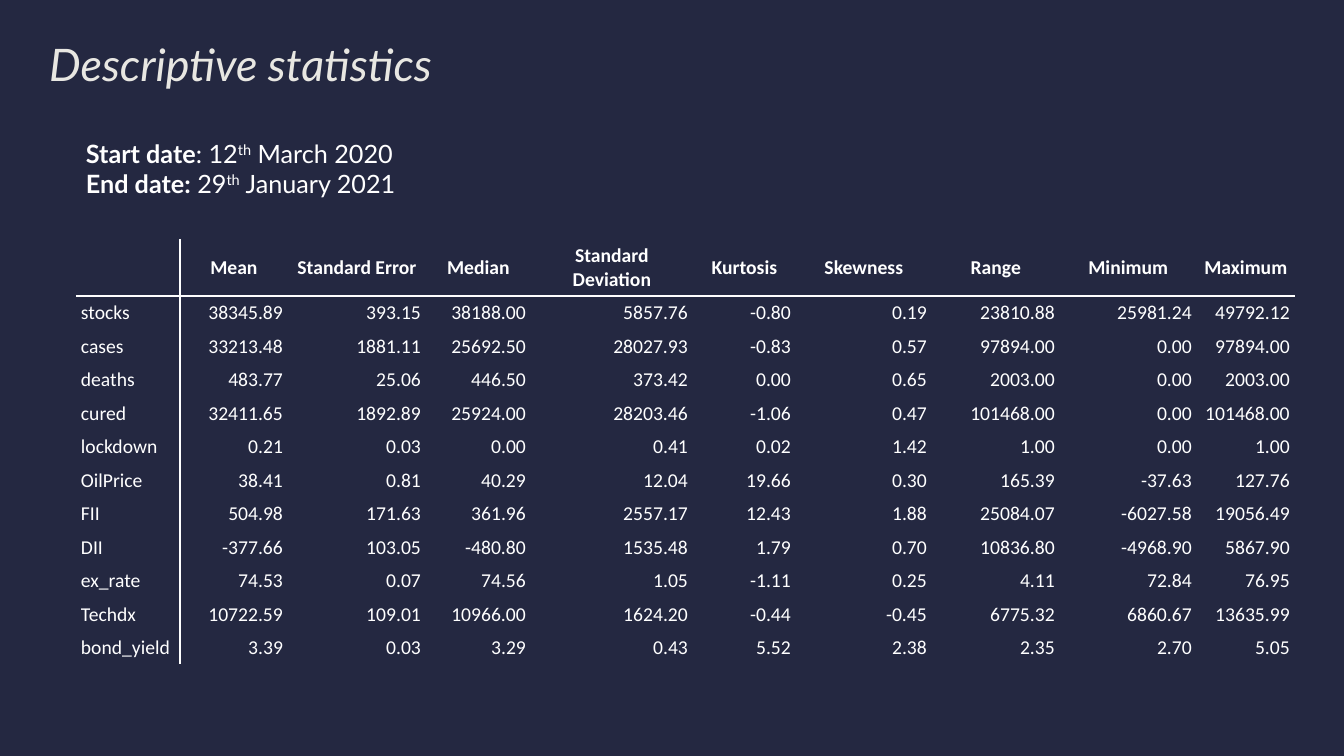
"""Build a slide with a table of descriptive statistics and its date range."""
import lxml.etree
import pptx
import pptx.dml.color
import pptx.enum.text
import pptx.oxml.ns
import pptx.util

PX = 12192000 / 1344
NAVY = pptx.dml.color.RGBColor(0x24, 0x28, 0x41)
IVORY = pptx.dml.color.RGBColor(0xE8, 0xE7, 0xE2)
WHITE = pptx.dml.color.RGBColor(0xFF, 0xFF, 0xFF)
ALIGN = pptx.enum.text.PP_ALIGN


def px(length):
    return pptx.util.Emu(round(length * PX))


def style(run, font_name, size, color, bold=False):
    run.font.name = font_name
    run.font.size = pptx.util.Pt(size)
    run.font.color.rgb = color
    run.font.bold = bold


deck = pptx.Presentation()
deck.slide_width, deck.slide_height = px(1344), px(756)
slide = deck.slides.add_slide(deck.slide_layouts[6])
slide.background.fill.solid()
slide.background.fill.fore_color.rgb = NAVY

title = slide.shapes.add_textbox(px(49), px(43), px(1246), px(126)).text_frame
title.word_wrap = True
title.margin_left = title.margin_right = title.margin_top = title.margin_bottom = 0
heading = title.paragraphs[0]
heading.text = "Descriptive statistics"
heading.line_spacing = 0.9
style(heading.runs[0], "Lato", 32, IVORY)
heading.runs[0].font.italic = True

DATES = [
    ("Start date", ": 12", "th", " March 2020"),
    ("End date:", " 29", "th", " January 2021"),
]
period = slide.shapes.add_textbox(px(76), px(133), px(743), px(72)).text_frame
period.word_wrap = True
for index, pieces in enumerate(DATES):
    date_line = period.add_paragraph() if index else period.paragraphs[0]
    for position, piece in enumerate(pieces):
        run = date_line.add_run()
        run.text = piece
        style(run, "Lato", 18, WHITE, bold=position == 0)
        if piece == "th":
            run.font._element.set("baseline", "30000")

STATISTICS = [
    ("", "Mean", "Standard Error", "Median", "Standard Deviation", "Kurtosis",
     "Skewness", "Range", "Minimum", "Maximum"),
    ("stocks", "38345.89", "393.15", "38188.00", "5857.76", "-0.80", "0.19",
     "23810.88", "25981.24", "49792.12"),
    ("cases", "33213.48", "1881.11", "25692.50", "28027.93", "-0.83", "0.57",
     "97894.00", "0.00", "97894.00"),
    ("deaths", "483.77", "25.06", "446.50", "373.42", "0.00", "0.65",
     "2003.00", "0.00", "2003.00"),
    ("cured", "32411.65", "1892.89", "25924.00", "28203.46", "-1.06", "0.47",
     "101468.00", "0.00", "101468.00"),
    ("lockdown", "0.21", "0.03", "0.00", "0.41", "0.02", "1.42",
     "1.00", "0.00", "1.00"),
    ("OilPrice", "38.41", "0.81", "40.29", "12.04", "19.66", "0.30",
     "165.39", "-37.63", "127.76"),
    ("FII", "504.98", "171.63", "361.96", "2557.17", "12.43", "1.88",
     "25084.07", "-6027.58", "19056.49"),
    ("DII", "-377.66", "103.05", "-480.80", "1535.48", "1.79", "0.70",
     "10836.80", "-4968.90", "5867.90"),
    ("ex_rate", "74.53", "0.07", "74.56", "1.05", "-1.11", "0.25",
     "4.11", "72.84", "76.95"),
    ("Techdx", "10722.59", "109.01", "10966.00", "1624.20", "-0.44", "-0.45",
     "6775.32", "6860.67", "13635.99"),
    ("bond_yield", "3.39", "0.03", "3.29", "0.43", "5.52", "2.38",
     "2.35", "2.70", "5.05"),
]
COLUMN_WIDTHS = [104, 108, 138, 105, 162, 103, 136, 128, 137, 98]
table = slide.shapes.add_table(
    len(STATISTICS), len(COLUMN_WIDTHS),
    px(76), px(239), px(sum(COLUMN_WIDTHS)), px(426)).table
table.first_row = table.horz_banding = False
for column, width in zip(table.columns, COLUMN_WIDTHS):
    column.width = px(width)

for row_index, values in enumerate(STATISTICS):
    table.rows[row_index].height = px(30)
    for column_index, value in enumerate(values):
        cell = table.cell(row_index, column_index)
        cell.margin_left = cell.margin_right = px(5)
        cell.margin_top = cell.margin_bottom = px(5)
        cell.vertical_anchor = pptx.enum.text.MSO_ANCHOR.MIDDLE
        entry = cell.text_frame.paragraphs[0]
        if row_index == 0:
            entry.alignment = ALIGN.CENTER
        else:
            entry.alignment = ALIGN.RIGHT if column_index else ALIGN.LEFT
        if value:
            entry.text = value
            style(entry.runs[0], "Calibri", 14, WHITE, bold=row_index == 0)

        ruled = {
            "lnL": column_index == 1,
            "lnR": column_index == 0,
            "lnT": row_index == 1,
            "lnB": row_index == 0,
        }
        properties = cell._tc.get_or_add_tcPr()
        for side, visible in ruled.items():
            border = lxml.etree.SubElement(
                properties, pptx.oxml.ns.qn(f"a:{side}"), w=str(pptx.util.Pt(1)))
            paint = lxml.etree.SubElement(
                border, pptx.oxml.ns.qn("a:solidFill" if visible else "a:noFill"))
            if visible:
                lxml.etree.SubElement(
                    paint, pptx.oxml.ns.qn("a:srgbClr"), val=str(WHITE))
        cell.fill.background()

deck.save("out.pptx")
